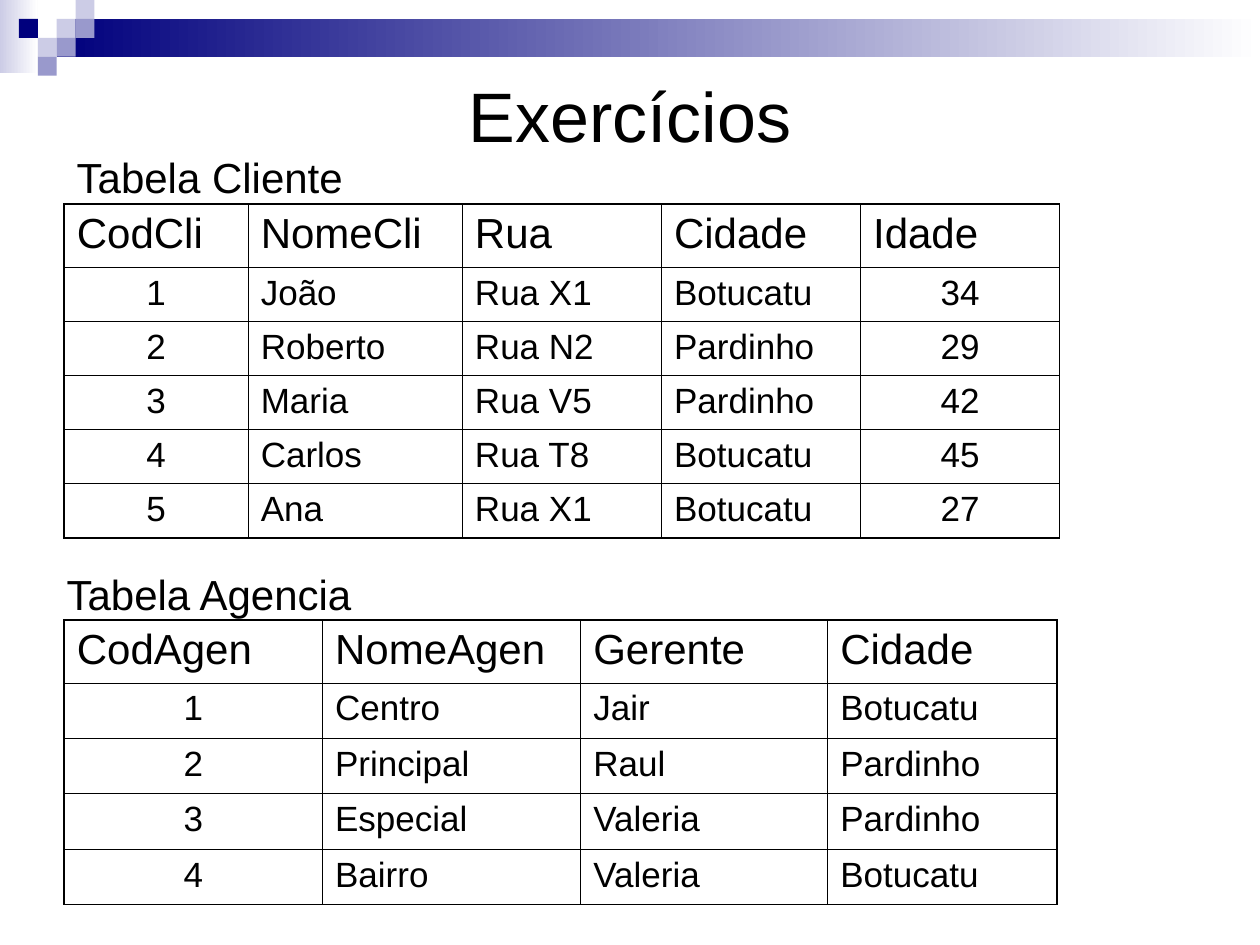
from lxml import etree
from pptx import Presentation
from pptx import util as u
from pptx.dml.color import RGBColor
from pptx.enum import shapes, text
from pptx.oxml.ns import qn

WIDTH, HEIGHT = 10, 7.5
FONT = "Arial"
COLORS = {"ink": "000000", "navy": "00007D", "lilac": "CCCCE6",
          "violet": "9999CC", "white": "FFFFFF"}
OUTER, INNER = 1.08, 0.45

CLIENTE = [
    ["CodCli", "NomeCli", "Rua", "Cidade", "Idade"],
    ["1", "João", "Rua X1", "Botucatu", "34"],
    ["2", "Roberto", "Rua N2", "Pardinho", "29"],
    ["3", "Maria", "Rua V5", "Pardinho", "42"],
    ["4", "Carlos", "Rua T8", "Botucatu", "45"],
    ["5", "Ana", "Rua X1", "Botucatu", "27"],
]
AGENCIA = [
    ["CodAgen", "NomeAgen", "Gerente", "Cidade"],
    ["1", "Centro", "Jair", "Botucatu"],
    ["2", "Principal", "Raul", "Pardinho"],
    ["3", "Especial", "Valeria", "Pardinho"],
    ["4", "Bairro", "Valeria", "Botucatu"],
]


def inches(*lengths):
    return [u.Inches(length) for length in lengths]


def color(name):
    return RGBColor.from_string(COLORS[name])


def write(frame, words, size, align=None, before=None):
    frame.text = words
    paragraph = frame.paragraphs[0]
    paragraph.alignment = align
    if before is not None:
        paragraph.space_before = u.Pt(before)
    paragraph.font.name = FONT
    paragraph.font.size = u.Pt(size)
    paragraph.font.color.rgb = color("ink")


def add_block(slide, box, *names):
    block = slide.shapes.add_shape(shapes.MSO_SHAPE.RECTANGLE, *inches(*box))
    block.shadow.inherit = False
    block.line.fill.background()
    if len(names) == 1:
        block.fill.solid()
        block.fill.fore_color.rgb = color(names[0])
    else:
        block.fill.gradient()
        block.fill.gradient_angle = 0
        for stop, name in zip(block.fill.gradient_stops, names):
            stop.color.rgb = color(name)


def add_banner(slide, box):
    left, top, width, unit = box
    add_block(slide, (left, top, 2 * unit, 0.58), "lilac", "white")
    add_block(slide, (left + 3 * unit, top + unit, width - 3 * unit, 2 * unit),
              "navy", "white")
    squares = [(3, 1, "lilac"), (4, 0, "lilac"), (4, 1, "violet"),
               (2, 2, "lilac"), (1, 1, "navy"), (3, 2, "violet"),
               (2, 3, "violet")]
    for column, row, name in squares:
        add_block(slide, (left + column * unit, top + row * unit, unit, unit), name)


def add_title(slide, box):
    title = slide.shapes.title
    title.left, title.top, title.width, title.height = inches(*box)
    title.text_frame.vertical_anchor = text.MSO_ANCHOR.MIDDLE
    write(title.text_frame, "Exercícios", 40, text.PP_ALIGN.CENTER)


def add_caption(slide, box, words):
    frame = slide.shapes.add_textbox(*inches(*box)).text_frame
    frame.word_wrap = True
    frame.auto_size = text.MSO_AUTO_SIZE.SHAPE_TO_FIT_TEXT
    write(frame, words, 24)


def set_borders(cell, outer_sides):
    properties = cell._tc.get_or_add_tcPr()
    for side in "LRTB":
        points = OUTER if side in outer_sides else INNER
        line = etree.SubElement(properties, qn(f"a:ln{side}"), w=str(u.Pt(points)))
        fill = etree.SubElement(line, qn("a:solidFill"))
        etree.SubElement(fill, qn("a:srgbClr"), val=COLORS["ink"])


def add_records(slide, box, records, widths, heights, centred):
    last_row, last_column = len(records) - 1, len(widths) - 1
    table = slide.shapes.add_table(len(records), len(widths), *inches(*box)).table
    table.horz_banding = False
    for column, width in zip(table.columns, widths):
        column.width = u.Inches(width)
    for r, record in enumerate(records):
        table.rows[r].height = u.Inches(heights[min(r, 1)])
        for c, value in enumerate(record):
            cell = table.cell(r, c)
            edges = {"L": c == 0, "R": c == last_column,
                     "T": r == 0, "B": r == last_row}
            set_borders(cell, [side for side, outer in edges.items() if outer])
            cell.fill.background()
            align = text.PP_ALIGN.CENTER if r and c in centred else text.PP_ALIGN.LEFT
            size, before = (20, 5) if r else (24, 6)
            write(cell.text_frame, value, size, align, before)
            cell.text_frame.paragraphs[0].font.bold = False


def main():
    deck = Presentation()
    deck.slide_width, deck.slide_height = inches(WIDTH, HEIGHT)
    slide = deck.slides.add_slide(deck.slide_layouts[5])
    add_banner(slide, (0, 0, WIDTH, HEIGHT / 50))
    add_title(slide, (0.05 * WIDTH, 0.5, 0.9 * WIDTH, 0.81))
    add_records(slide, (0.51, 1.62, 7.89, 2.67), CLIENTE,
                [1.46, 1.7, 1.58, 1.58, 1.58], (0.5, 0.43), (0, 4))
    add_caption(slide, (0.51, 1.15, WIDTH / 3, 0.5), "Tabela Cliente")
    add_records(slide, (0.51, 4.92, 7.87, 2.23), AGENCIA,
                [2.05, 2.05, 1.96, 1.82], (0.5, 0.44), (0,))
    add_caption(slide, (0.43, 4.46, WIDTH / 3, 0.5), "Tabela Agencia")
    deck.save("out.pptx")


if __name__ == "__main__":
    main()
